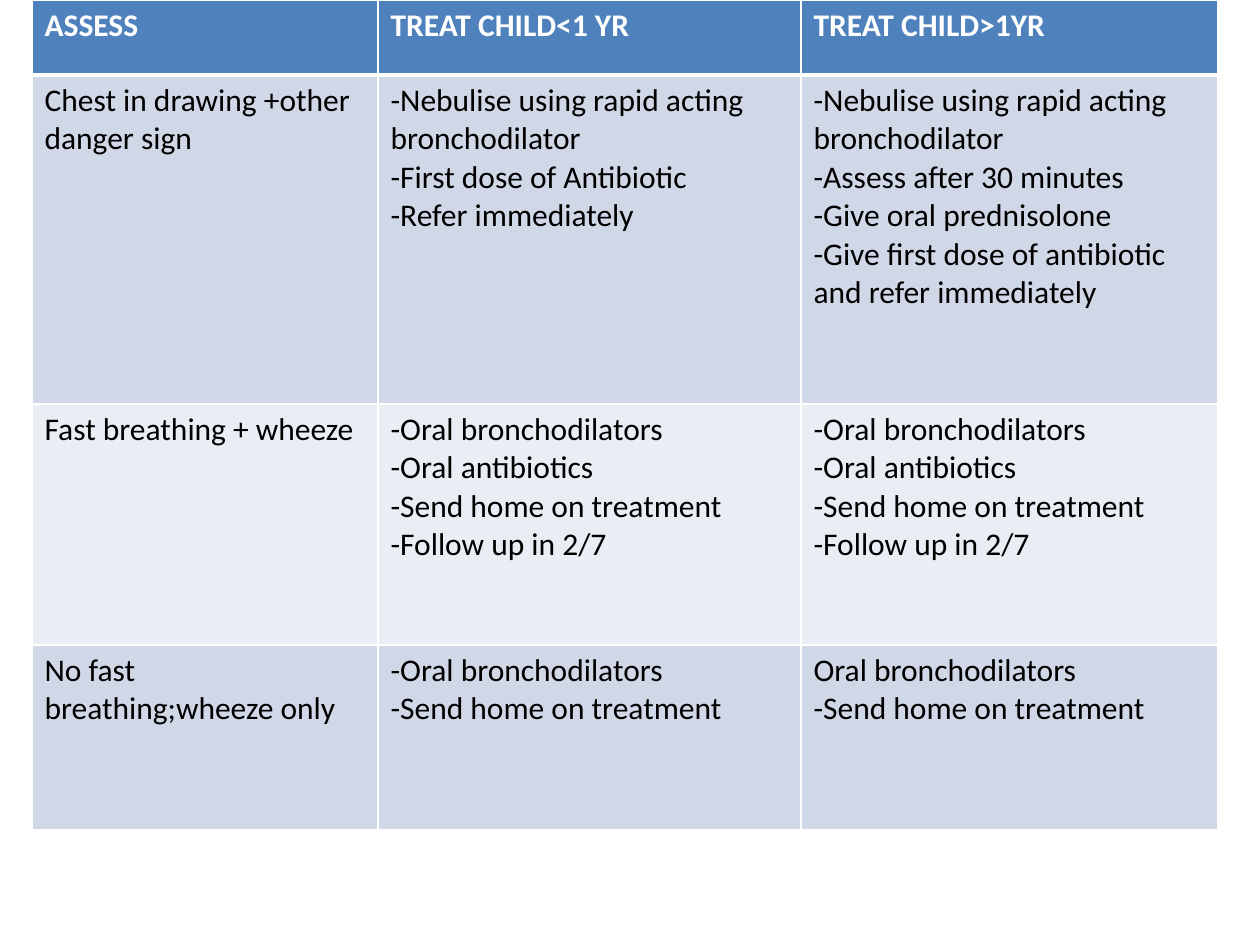
from lxml.etree import SubElement
from pptx import Presentation
from pptx.dml.color import RGBColor
from pptx.oxml.ns import qn
from pptx.util import Emu, Pt

EMU_PER_PX = 914400 / 126
WHITE = RGBColor(0xFF, 0xFF, 0xFF)
BLACK = RGBColor(0x00, 0x00, 0x00)
HEADER_BLUE = RGBColor(0x4F, 0x81, 0xBD)
BAND_DARK = RGBColor(0xD0, 0xD8, 0xE8)
BAND_LIGHT = RGBColor(0xE9, 0xED, 0xF4)


def px(length):
    return Emu(round(length * EMU_PER_PX))


def add_border(cell, side, points):
    """Draw a white line on one side (L, R, T or B); call before filling the cell."""
    line = SubElement(cell._tc.get_or_add_tcPr(), qn(f"a:ln{side}"), w=str(Pt(points)))
    fill = SubElement(line, qn("a:solidFill"))
    SubElement(fill, qn("a:srgbClr"), val=str(WHITE))


HOME_CARE = [
    "-Oral bronchodilators",
    "-Oral antibiotics",
    "-Send home on treatment",
    "-Follow up in 2/7",
]
GUIDELINE = [
    [["ASSESS"], ["TREAT CHILD<1 YR"], ["TREAT CHILD>1YR"]],
    [
        ["Chest in drawing +other danger sign"],
        [
            "-Nebulise using rapid acting bronchodilator",
            "-First dose of Antibiotic",
            "-Refer immediately",
        ],
        [
            "-Nebulise using rapid acting bronchodilator",
            "-Assess after 30 minutes",
            "-Give oral prednisolone",
            "-Give first dose of antibiotic and refer immediately",
        ],
    ],
    [["Fast breathing + wheeze"], HOME_CARE, HOME_CARE],
    [
        ["No fast breathing;wheeze only"],
        ["-Oral bronchodilators", "-Send home on treatment"],
        ["Oral bronchodilators", "-Send home on treatment"],
    ],
]
COLUMN_WIDTHS = [346, 423, 417]
ROW_HEIGHTS = [75, 329, 241, 185]
ROW_FILLS = [HEADER_BLUE, BAND_DARK, BAND_LIGHT, BAND_DARK]

prs = Presentation()
prs.slide_width, prs.slide_height = px(1260), px(945)
slide = prs.slides.add_slide(prs.slide_layouts[6])

treatment = slide.shapes.add_table(
    len(ROW_HEIGHTS), len(COLUMN_WIDTHS),
    px(32), px(0), px(sum(COLUMN_WIDTHS)), px(sum(ROW_HEIGHTS)),
).table
for column, width in zip(treatment.columns, COLUMN_WIDTHS):
    column.width = px(width)
for row, height in zip(treatment.rows, ROW_HEIGHTS):
    row.height = px(height)

for r, guideline_row in enumerate(GUIDELINE):
    is_header = r == 0
    for c, steps in enumerate(guideline_row):
        cell = treatment.cell(r, c)
        add_border(cell, "L", 1)
        add_border(cell, "R", 1)
        add_border(cell, "T", 3 if r == 1 else 1)
        add_border(cell, "B", 3 if is_header else 1)
        cell.fill.solid()
        cell.fill.fore_color.rgb = ROW_FILLS[r]
        for i, step in enumerate(steps):
            frame = cell.text_frame
            paragraph = frame.paragraphs[0] if i == 0 else frame.add_paragraph()
            run = paragraph.add_run()
            run.text = step
            run.font.name = "Calibri"
            run.font.size = Pt(18)
            run.font.bold = is_header
            run.font.color.rgb = WHITE if is_header else BLACK

prs.save("out.pptx")
